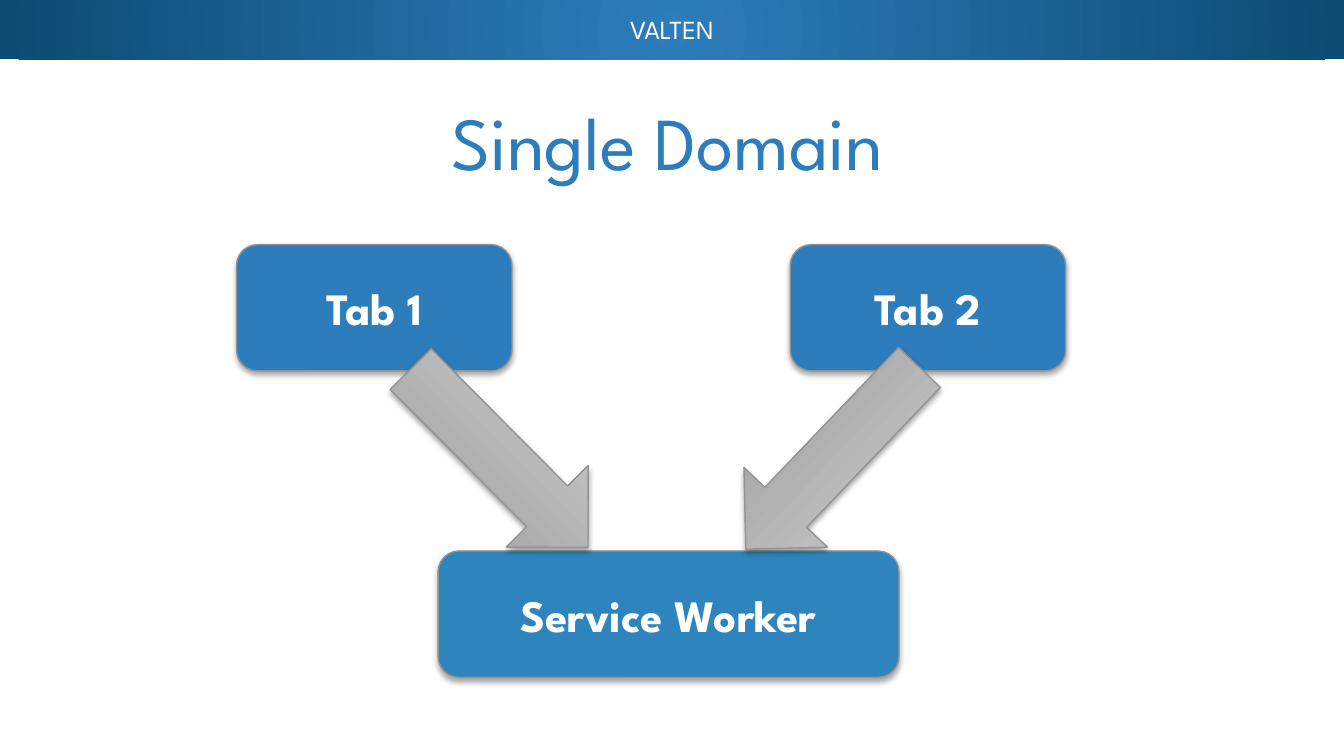
from typing import NamedTuple

from lxml.etree import SubElement
from pptx import Presentation
from pptx.dml.color import RGBColor
from pptx.enum.shapes import MSO_SHAPE as Preset
from pptx.enum.text import MSO_ANCHOR as Anchor, PP_ALIGN as Align
from pptx.oxml.ns import qn
from pptx.util import Inches, Pt

FONT = "League Spartan"
BLUE = RGBColor(0x2D, 0x7C, 0xBB)
WORKER_BLUE = RGBColor(0x2E, 0x85, 0xBD)
NAVY = RGBColor(0x0C, 0x4B, 0x72)
WHITE = RGBColor(0xFF, 0xFF, 0xFF)
OUTLINE = RGBColor(0x93, 0x93, 0x93)
DARK_GRAY = RGBColor(0x96, 0x96, 0x96)
LIGHT_GRAY = RGBColor(0xD3, 0xD3, 0xD3)


class Box(NamedTuple):
    label: str
    left: float
    top: float
    width: float
    color: RGBColor


class Arrow(NamedTuple):
    left: float
    rotation: float


BOX_HEIGHT = 0.94
ARROW_TOP, ARROW_WIDTH, ARROW_HEIGHT = 2.98, 1.87, 0.86
BOXES = [
    Box("Tab 1", 1.76, 1.82, 2.05, BLUE),
    Box("Tab 2", 5.88, 1.82, 2.05, BLUE),
    Box("Service Worker", 3.26, 4.1, 3.43, WORKER_BLUE),
]
ARROWS = [Arrow(2.78, 45.1), Arrow(5.26, 133.7)]


def write(shape, text: str, *, size: float, color: RGBColor = WHITE,
          bold: bool = False, anchor: Anchor = Anchor.MIDDLE) -> None:
    frame = shape.text_frame
    frame.word_wrap = True
    frame.vertical_anchor = anchor
    paragraph = frame.paragraphs[0]
    paragraph.alignment = Align.CENTER
    run = paragraph.add_run()
    run.text = text
    run.font.name, run.font.size, run.font.bold = FONT, Pt(size), bold
    run.font.color.rgb = color


def add_preset(slide, preset: Preset, left: float, top: float,
               width: float, height: float):
    shape = slide.shapes.add_shape(
        preset, Inches(left), Inches(top), Inches(width), Inches(height))
    shape.shadow.inherit = False
    return shape


def fill_gradient(shape, start: RGBColor, end: RGBColor):
    """Fill with two colours and return the gradient's XML element."""
    shape.fill.gradient()
    for stop, color, position in zip(shape.fill.gradient_stops, (start, end), (0, 1)):
        stop.color.rgb = color
        stop.position = position
    return shape._element.spPr.find(qn("a:gradFill"))


def outline_and_shadow(shape) -> None:
    shape.line.color.rgb = OUTLINE
    shape.line.width = Pt(0.75)
    effects = shape._element.spPr.find(qn("a:effectLst"))
    shadow = SubElement(effects, qn("a:outerShdw"), blurRad=str(Pt(3.1)),
                        dist=str(Pt(1.8)), dir="5400000", rotWithShape="0")
    black = SubElement(shadow, qn("a:srgbClr"), val="000000")
    SubElement(black, qn("a:alpha"), val="35000")


def draw_header(slide) -> None:
    band = add_preset(slide, Preset.RECTANGLE, 0, 0, 10, 0.44)
    band.line.fill.background()
    gradient = fill_gradient(band, BLUE, NAVY)
    gradient.remove(gradient.find(qn("a:lin")))
    radial = SubElement(gradient, qn("a:path"), path="circle")
    SubElement(radial, qn("a:fillToRect"), l="50000", t="50000", r="50000", b="50000")
    brand = slide.shapes.add_textbox(0, Inches(-0.12), Inches(10), Inches(0.5))
    write(brand, "VALTEN", size=14, anchor=Anchor.BOTTOM)


def draw_title(slide) -> None:
    title = slide.shapes.title
    title.left, title.top = Inches(0.47), Inches(0.58)
    title.width, title.height = Inches(9), Inches(0.94)
    frame = title.text_frame
    frame.margin_left, frame.margin_right = Inches(0.07), Inches(0.08)
    frame.margin_top = frame.margin_bottom = Inches(0.04)
    write(title, "Single Domain", size=40, color=BLUE)


def draw_box(slide, box: Box) -> None:
    shape = add_preset(slide, Preset.ROUNDED_RECTANGLE,
                       box.left, box.top, box.width, BOX_HEIGHT)
    shape.fill.solid()
    shape.fill.fore_color.rgb = box.color
    outline_and_shadow(shape)
    write(shape, box.label, size=24, bold=True)


def draw_arrow(slide, arrow: Arrow) -> None:
    shape = add_preset(slide, Preset.RIGHT_ARROW,
                       arrow.left, ARROW_TOP, ARROW_WIDTH, ARROW_HEIGHT)
    shape.rotation = arrow.rotation
    gradient = fill_gradient(shape, DARK_GRAY, LIGHT_GRAY)
    gradient.find(qn("a:lin")).set("ang", str(270 * 60000))
    outline_and_shadow(shape)


def main() -> None:
    deck = Presentation()
    # Widescreen, 16:9
    deck.slide_width = Inches(10)
    deck.slide_height = Inches(10 * 9 / 16)
    slide = deck.slides.add_slide(deck.slide_layouts[5])

    # Header band and title
    draw_header(slide)
    draw_title(slide)

    # Tabs feeding the service worker
    for box in BOXES:
        draw_box(slide, box)
    for arrow in ARROWS:
        draw_arrow(slide, arrow)

    deck.save("out.pptx")


if __name__ == "__main__":
    main()
